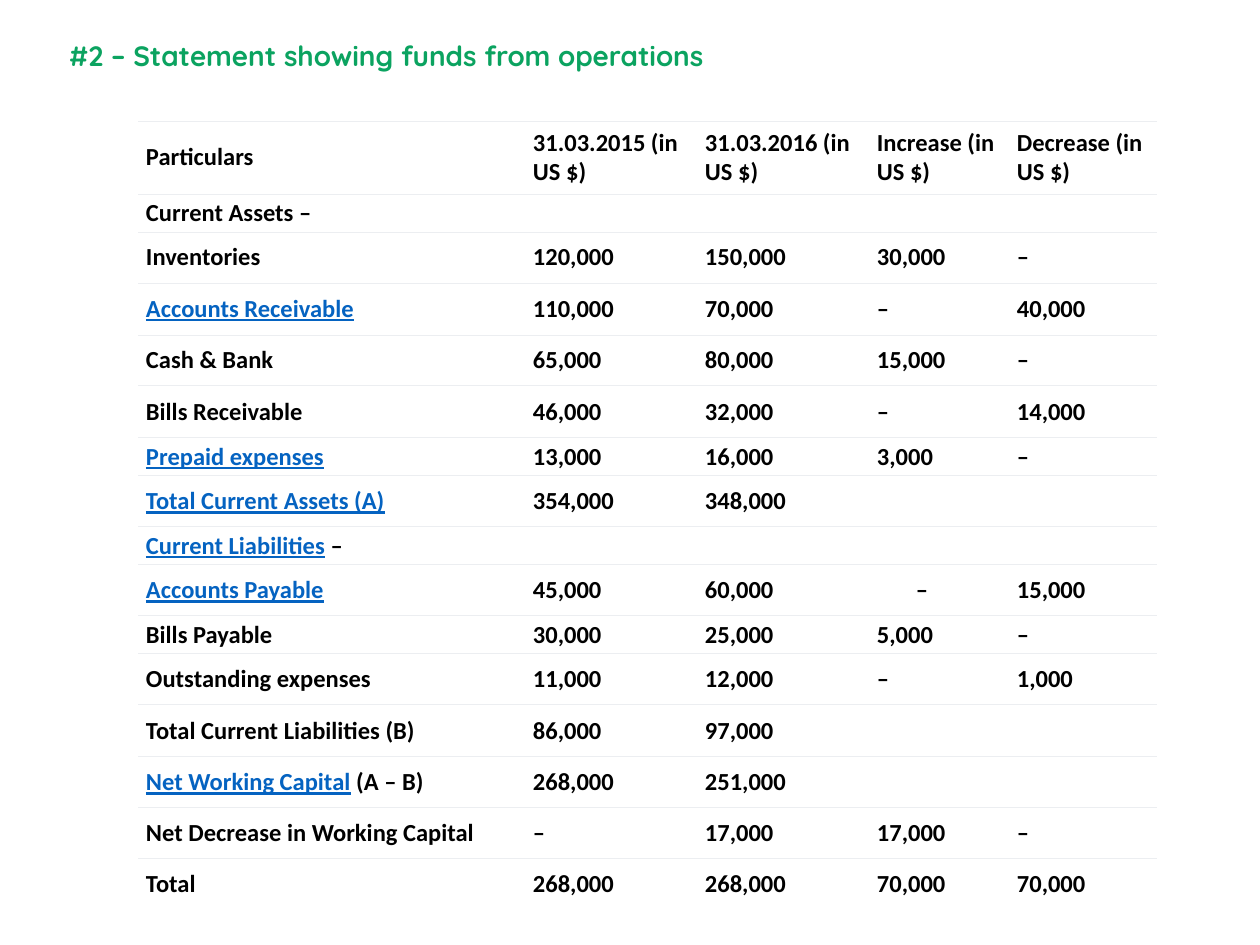
"""Build the slide with the statement of funds from operations."""
from dataclasses import dataclass

from lxml.etree import SubElement
from pptx import Presentation
from pptx.dml.color import RGBColor as Rgb
from pptx.enum.text import MSO_ANCHOR as Anchor, MSO_AUTO_SIZE as AutoSize, PP_ALIGN as Align
from pptx.oxml import parse_xml
from pptx.oxml.ns import nsdecls, qn
from pptx.util import Emu, Pt


@dataclass(frozen=True)
class Theme:
    title_font: str = "Quicksand"
    table_font: str = "Calibri"
    title_size: int = 16
    table_size: int = 14
    title: str = "0BA360"
    text: str = "000000"
    link: str = "0563C1"
    rule: str = "ECEEF1"
    paper: str = "FFFFFF"
    rule_width: float = 0.6


THEME = Theme()
SCALE = 914400 / 126
COLUMNS = [387, 172, 172, 140, 148]
HEADER, TALLER, TALL, SHORT = 73, 52, 51, 38
LINK_END = "|"
DASH_INDENT = 39
ROWS = [
    (HEADER, "Particulars", "31.03.2015 (in US $)", "31.03.2016 (in US $)", "Increase (in US $)", "Decrease (in US $)"),
    (SHORT, "Current Assets –", "", "", "", ""),
    (TALL, "Inventories", "120,000", "150,000", "30,000", "–"),
    (TALLER, "Accounts Receivable|", "110,000", "70,000", "–", "40,000"),
    (TALL, "Cash & Bank", "65,000", "80,000", "15,000", "–"),
    (TALLER, "Bills Receivable", "46,000", "32,000", "–", "14,000"),
    (SHORT, "Prepaid expenses|", "13,000", "16,000", "3,000", "–"),
    (TALL, "Total Current Assets (A)|", "354,000", "348,000", "", ""),
    (SHORT, "Current Liabilities| –", "", "", "", ""),
    (TALL, "Accounts Payable|", "45,000", "60,000", "–", "15,000"),
    (SHORT, "Bills Payable", "30,000", "25,000", "5,000", "–"),
    (TALL, "Outstanding expenses", "11,000", "12,000", "–", "1,000"),
    (TALLER, "Total Current Liabilities (B)", "86,000", "97,000", "", ""),
    (TALL, "Net Working Capital| (A – B)", "268,000", "251,000", "", ""),
    (TALL, "Net Decrease in Working Capital", "–", "17,000", "17,000", "–"),
    (TALL, "Total", "268,000", "268,000", "70,000", "70,000"),
]


def px(length):
    return Emu(round(length * SCALE))


def style(span, font, size, color):
    span.font.name = font
    span.font.size = Pt(size)
    span.font.bold = True
    span.font.color.rgb = Rgb.from_string(color)


deck = Presentation()
deck.slide_width, deck.slide_height = px(1260), px(945)
page = deck.slides.add_slide(deck.slide_layouts[5])

title = page.shapes.title
title.left, title.top, title.width, title.height = px(69), px(10), px(1077), px(111)
title.fill.solid()
title.fill.fore_color.rgb = Rgb.from_string(THEME.paper)
frame = title.text_frame
frame.text = "#2 – Statement showing funds from operations"
frame.word_wrap = True
frame.auto_size = AutoSize.NONE
frame.vertical_anchor = Anchor.MIDDLE
frame.margin_left = frame.margin_top = frame.margin_right = 0
frame.margin_bottom = px(21)
frame.paragraphs[0].alignment = Align.LEFT
style(frame.paragraphs[0].runs[0], THEME.title_font, THEME.title_size, THEME.title)

heights = [row[0] for row in ROWS]
table = page.shapes.add_table(
    len(ROWS), len(COLUMNS), px(138), px(121), px(sum(COLUMNS)), px(sum(heights))
).table
table.first_row = table.horz_banding = False
for column, width in zip(table.columns, COLUMNS):
    column.width = px(width)

for row_index, (height, *texts) in enumerate(ROWS):
    table.rows[row_index].height = px(height)
    sides = ["lnT", "lnB"] if row_index < len(ROWS) - 1 else ["lnT"]
    for column_index, text in enumerate(texts):
        cell = table.cell(row_index, column_index)
        cell.vertical_anchor = Anchor.MIDDLE
        cell.margin_left = cell.margin_right = px(8)
        cell.margin_top = cell.margin_bottom = px(4)
        cell.fill.solid()
        cell.fill.fore_color.rgb = Rgb.from_string(THEME.paper)
        properties = cell._tc.tcPr
        for place, side in enumerate(["lnL", "lnR", "lnT", "lnB"]):
            line = parse_xml(f'<a:{side} {nsdecls("a")} w="{Pt(THEME.rule_width)}"/>')
            if side in sides:
                fill = SubElement(line, qn("a:solidFill"))
                SubElement(fill, qn("a:srgbClr")).set("val", THEME.rule)
            else:
                SubElement(line, qn("a:noFill"))
            properties.insert(place, line)

        para = cell.text_frame.paragraphs[0]
        link, mark, rest = text.partition(LINK_END)
        parts = [(link, bool(mark)), (rest, False)]
        for words, linked in parts:
            if words:
                span = para.add_run()
                span.text = words
                style(span, THEME.table_font, THEME.table_size, THEME.link if linked else THEME.text)
                span.font.underline = linked
        if not text:
            SubElement(para._p, qn("a:endParaRPr")).set("sz", str(THEME.table_size * 100))
        if texts[0] == "Accounts Payable|" and text == "–":
            para._p.get_or_add_pPr().set("marL", str(px(DASH_INDENT)))

deck.save("out.pptx")
